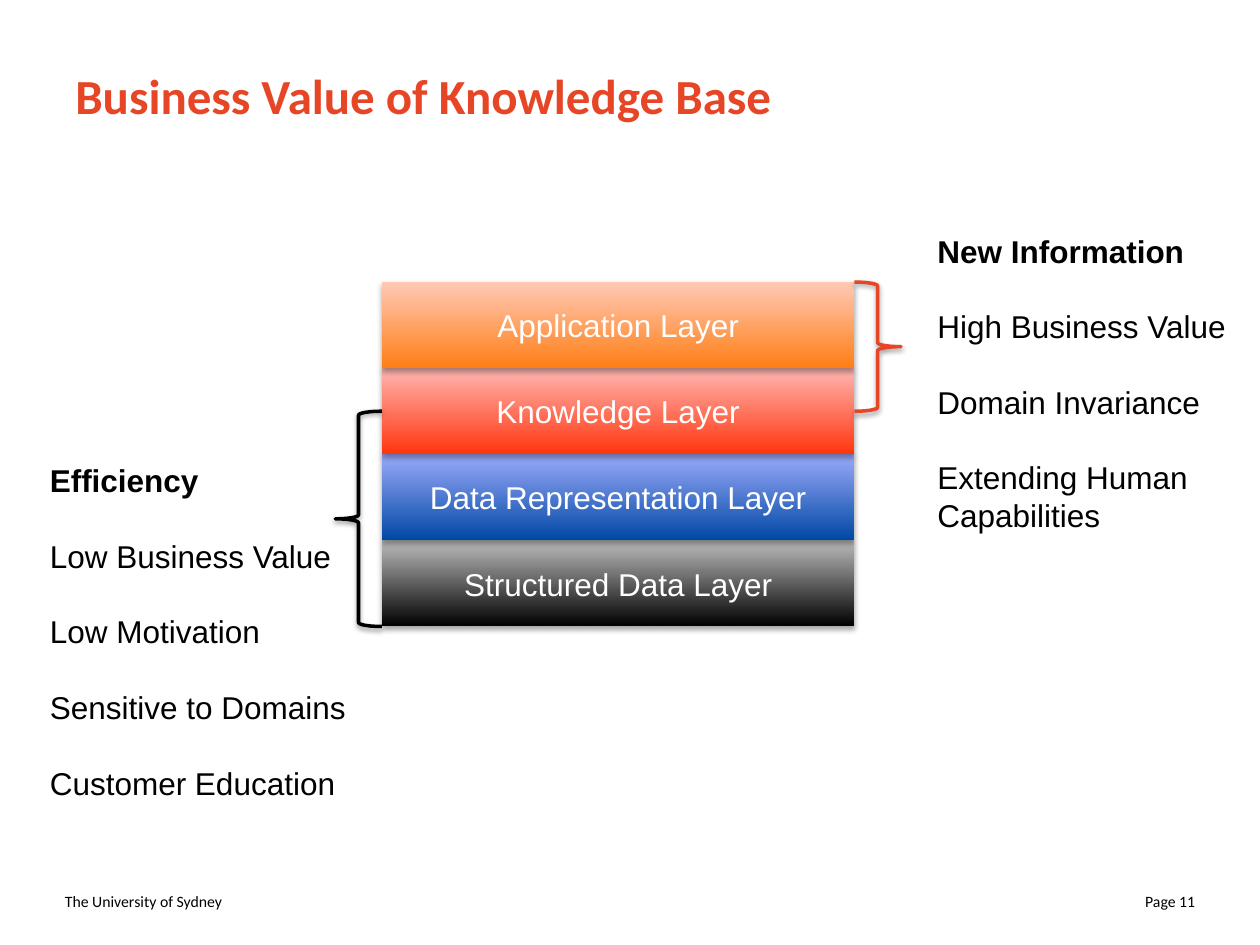
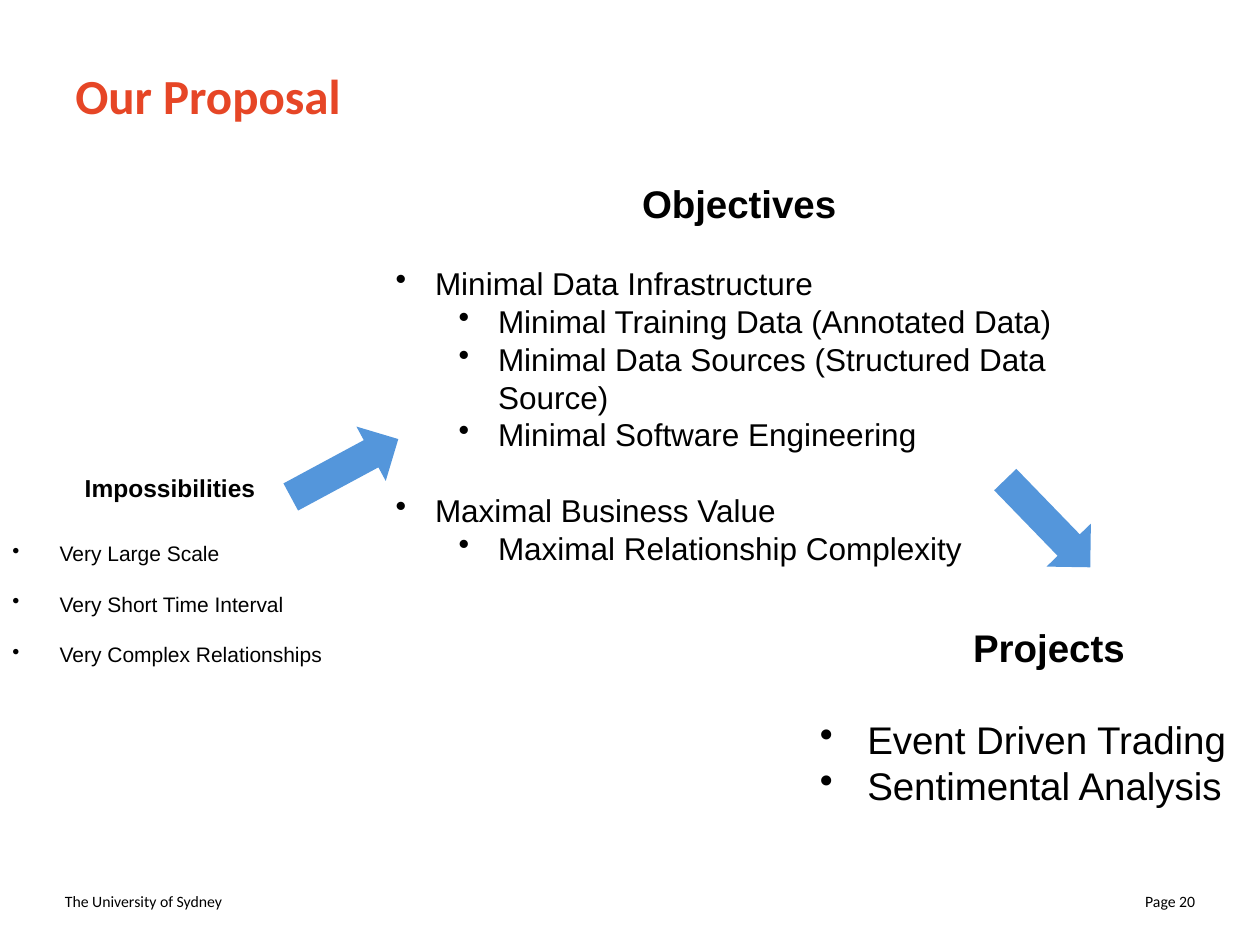
import pptx
import pptx.util
import pptx.dml.color
import pptx.enum.shapes
import pptx.enum.text
import pptx.oxml
import pptx.oxml.ns

Pt = pptx.util.Pt
qn = pptx.oxml.ns.qn
SHAPE = pptx.enum.shapes.MSO_SHAPE
ALIGN = pptx.enum.text.PP_ALIGN
MIDDLE = pptx.enum.text.MSO_ANCHOR.MIDDLE

BLACK, WHITE, ACCENT, ARROW_BLUE = "000000", "FFFFFF", "E64626", "5496DB"
HEAD_FONT, BODY_FONT = "Calibri", "Arial"
LINE = 1.2  # height of an empty line, relative to the text size

# Top to bottom: label, bottom colour, top colour
LAYERS = [
    ("Application Layer", "FF7E15", "FFC9B6"),
    ("Knowledge Layer", "FF350D", "FFB6B2"),
    ("Data Representation Layer", "0048A5", "9BAAFA"),
    ("Structured Data Layer", "000000", "BDBDBD"),
]
STACK_LEFT, STACK_TOP, LAYER_WIDTH, LAYER_HEIGHT = 218.2, 161.2, 270, 49.2
BRACE_WIDTH = 26.6

EFFICIENCY = ["Efficiency", "Low Business Value", "Low Motivation",
              "Sensitive to Domains", "Customer Education"]
NEW_INFORMATION = ["New Information", "High Business Value", "Domain Invariance",
                   "Extending Human Capabilities"]

# Heading, heading size, gap below it, item size, bullet hang,
# items as (text, level, gap below), place
PROPOSAL = [
    ("Impossibilities", 14, 18, 12, 27, [
        ("Very Large Scale", 0, 12),
        ("Very Short Time Interval", 0, 12),
        ("Very Complex Relationships", 0, 0),
    ], (0, 267, 194.4, 145.4)),
    ("Objectives", 22, 18, 18, 22.5, [
        ("Minimal Data Infrastructure", 0, 0),
        ("Minimal Training Data (Annotated Data)", 1, 0),
        ("Minimal Data Sources (Structured Data Source)", 1, 0),
        ("Minimal Software Engineering", 1, 18),
        ("Maximal Business Value", 0, 0),
        ("Maximal Relationship Complexity", 1, 0),
    ], (219, 99.4, 406.8, 230.4)),
    ("Projects", 22, 22, 22, 27, [
        ("Event Driven Trading", 0, 0),
        ("Sentimental Analysis", 0, 0),
    ], (461.5, 352.8, 275.8, 113.8)),
]
ARROWS = [(162, 249.8, 331.7), (563.8, 281.5, 45.9)]


def colour(code):
    return pptx.dml.color.RGBColor.from_string(code)


def style(para, size, code=BLACK, bold=False, font=BODY_FONT, align=ALIGN.LEFT):
    para.alignment = align
    for span in para.runs:
        span.font.name, span.font.size, span.font.bold = font, Pt(size), bold
        span.font.color.rgb = colour(code)


def add_box(page, place):
    box = page.shapes.add_textbox(*map(Pt, place))
    box.text_frame.word_wrap = True
    return box.text_frame


def add_paras(frame, texts):
    """Fill the frame with one paragraph per text."""
    frame.text = "\n".join(texts)
    return frame.paragraphs


def add_line(page, place, text, size, **look):
    frame = add_box(page, place)
    frame.vertical_anchor = MIDDLE
    frame.text = text
    style(frame.paragraphs[0], size, font=HEAD_FONT, **look)


def add_page(deck, title, number):
    page = deck.slides.add_slide(deck.slide_layouts[6])
    add_line(page, (30, 500.4, 168, 28.8), "The University of Sydney", 9)
    add_line(page, (522, 500.4, 168, 28.8), f"Page {number}", 9, align=ALIGN.RIGHT)
    add_line(page, (36, 9.4, 648, 90), title, 28, code=ACCENT, bold=True)
    return page


def add_figure(page, kind, place, rotation=0):
    figure = page.shapes.add_shape(kind, *map(Pt, place))
    figure.rotation = rotation
    figure.shadow.inherit = False
    figure.line.fill.background()
    return figure


def drop_shadow(figure, opacity, distance):
    effects = figure._element.spPr.find(qn("a:effectLst"))
    effects.append(pptx.oxml.parse_xml(
        f'<a:outerShdw {pptx.oxml.ns.nsdecls("a")} blurRad="{Pt(3.1)}" '
        f'dist="{Pt(distance)}" dir="5400000" rotWithShape="0">'
        f'<a:srgbClr val="{BLACK}"><a:alpha val="{opacity * 1000}"/></a:srgbClr>'
        '</a:outerShdw>'))


def add_layer(page, index):
    label, low, high = LAYERS[index]
    top = STACK_TOP + index * LAYER_HEIGHT
    layer = add_figure(page, SHAPE.RECTANGLE, (STACK_LEFT, top, LAYER_WIDTH, LAYER_HEIGHT))
    layer.fill.gradient()
    layer.fill.gradient_angle = 90
    for stop, code in zip(layer.fill.gradient_stops, (low, high)):
        stop.color.rgb = colour(code)
    drop_shadow(layer, 35, 1.8)
    layer.text_frame.text = label
    layer.text_frame.vertical_anchor = MIDDLE
    style(layer.text_frame.paragraphs[0], 18, WHITE, align=ALIGN.CENTER)


def add_brace(page, left, first, last, code, rotation=0):
    """Span the stack from layer position first to last, counted from its top."""
    place = (left, STACK_TOP + first * LAYER_HEIGHT, BRACE_WIDTH, (last - first) * LAYER_HEIGHT)
    brace = add_figure(page, SHAPE.LEFT_BRACE, place, rotation)
    brace.fill.background()
    brace.line.color.rgb = colour(code)
    brace.line.width = Pt(2)
    drop_shadow(brace, 38, 1.6)


def add_spaced_list(page, texts, place):
    paras = add_paras(add_box(page, place), texts)
    for para in paras:
        style(para, 18, bold=para.text == texts[0])
    for para in paras[:-1]:
        para.space_after = Pt(18 * LINE)


def add_bullet(para, level, hang):
    para.level = level
    properties = para._p.get_or_add_pPr()
    properties.set("marL", str(Pt(hang + 36 * level)))
    properties.set("indent", str(-Pt(hang)))
    bullet = properties.makeelement(qn("a:buChar"), {"char": "•"})
    properties.append(bullet)


def add_bullet_list(page, heading, heading_size, heading_gap, size, hang, items, place):
    texts = [heading] + [text for text, _, _ in items]
    first, *rest = add_paras(add_box(page, place), texts)
    style(first, heading_size, bold=True, align=ALIGN.CENTER)
    first.space_after = Pt(heading_gap * LINE)
    for para, (_, level, gap) in zip(rest, items):
        add_bullet(para, level, hang)
        style(para, size)
        if gap:
            para.space_after = Pt(gap * LINE)


def build_value_page(deck):
    page = add_page(deck, "Business Value of Knowledge Base", 11)
    for index in reversed(range(len(LAYERS))):
        add_layer(page, index)
    add_brace(page, STACK_LEFT - BRACE_WIDTH, 1.5, 4, BLACK)
    add_brace(page, STACK_LEFT + LAYER_WIDTH, 0, 1.5, ACCENT, 180)
    add_spaced_list(page, EFFICIENCY, (21.4, 260, 223.2, 203.8))
    add_spaced_list(page, NEW_INFORMATION, (528.6, 128.8, 197.2, 181.4))


def build_proposal_page(deck):
    page = add_page(deck, "Our Proposal", 20)
    for section in PROPOSAL:
        add_bullet_list(page, *section)
    for left, top, rotation in ARROWS:
        arrow = add_figure(page, SHAPE.RIGHT_ARROW, (left, top, 69.8, 35.3), rotation)
        arrow.fill.solid()
        arrow.fill.fore_color.rgb = colour(ARROW_BLUE)


def main():
    deck = pptx.Presentation()
    deck.slide_width, deck.slide_height = Pt(720), Pt(540)
    build_value_page(deck)
    build_proposal_page(deck)
    deck.save("out.pptx")


if __name__ == "__main__":
    main()
